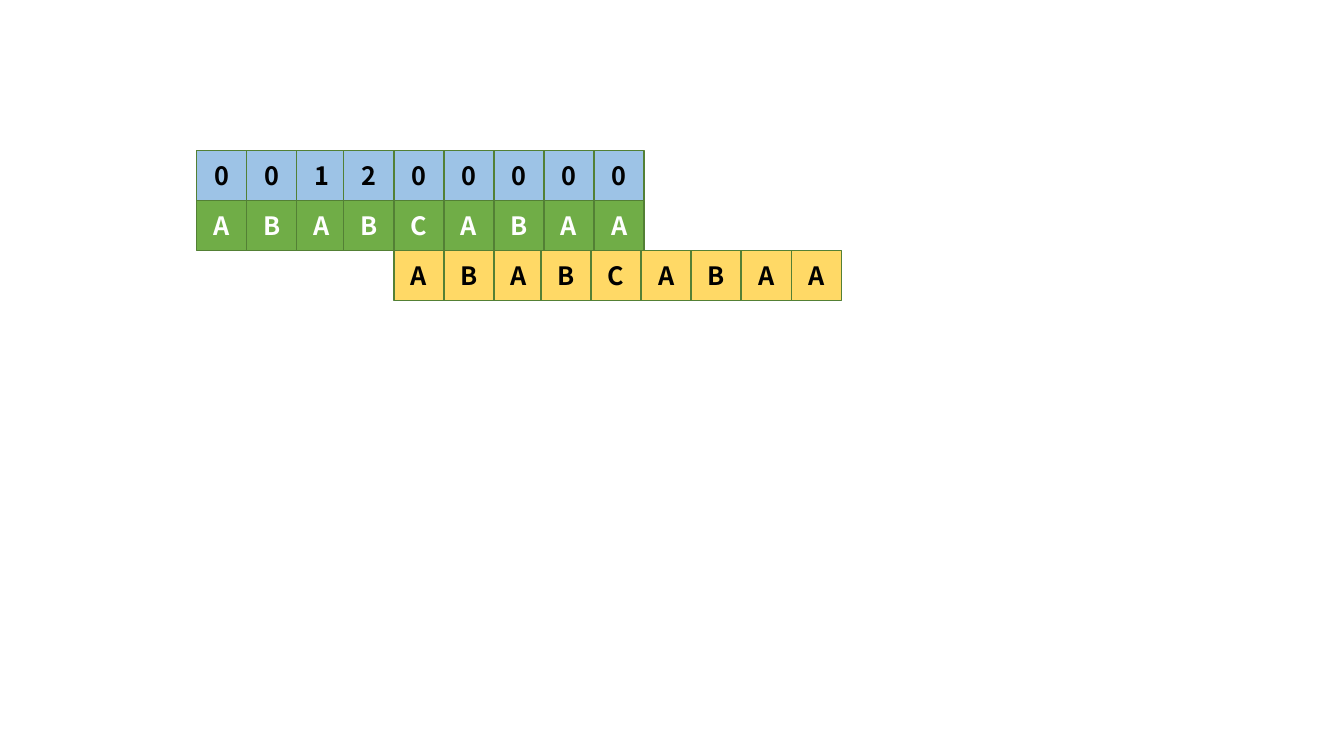
"""Build a slide showing a prefix table above a pattern and its shifted match."""
from pptx import Presentation
from pptx.dml.color import RGBColor
from pptx.enum.shapes import MSO_SHAPE
from pptx.enum.text import MSO_ANCHOR, PP_ALIGN
from pptx.util import Inches, Pt

BLUE = RGBColor(0x9D, 0xC3, 0xE6)
GREEN = RGBColor(0x70, 0xAD, 0x47)
YELLOW = RGBColor(0xFF, 0xD9, 0x66)
DARK_GREEN = RGBColor(0x53, 0x80, 0x35)
BLACK = RGBColor(0, 0, 0)
WHITE = RGBColor(0xFF, 0xFF, 0xFF)
FONT = "Noto Sans CJK SC"

PREFIX_LENGTHS = "001200000"
PATTERN = "ABABCABAA"
SHIFT = 4
ROWS = [
    (1, 0, PATTERN, GREEN, WHITE),
    (2, SHIFT, PATTERN, YELLOW, BLACK),
    (0, 0, PREFIX_LENGTHS, BLUE, BLACK),
]

LEFT, TOP = Inches(1.95), Inches(1.49)
CELL = Pt(35.75)
OVERLAP = Inches(0.03)
OVERLAP_COLUMN = 3


def column_offset(column):
    """Return the distance of a column from the start of its row."""
    return column * CELL - (OVERLAP if column >= OVERLAP_COLUMN else 0)


def add_cell(slide, left, top, symbol, fill, ink):
    """Draw one square holding a symbol."""
    cell = slide.shapes.add_shape(MSO_SHAPE.RECTANGLE, left, top, CELL, CELL)
    cell.shadow.inherit = False
    cell.fill.solid()
    cell.fill.fore_color.rgb = fill
    cell.line.color.rgb = DARK_GREEN
    cell.line.width = Pt(1)
    cell.text_frame.vertical_anchor = MSO_ANCHOR.MIDDLE
    label = cell.text_frame.paragraphs[0]
    label.text = symbol
    label.alignment = PP_ALIGN.CENTER
    label.font.name = FONT
    label.font.size = Pt(18)
    label.font.bold = True
    label.font.color.rgb = ink


def main():
    """Lay out the rows and save the presentation."""
    deck = Presentation()
    deck.slide_width, deck.slide_height = Inches(13.33), Inches(7.5)
    slide = deck.slides.add_slide(deck.slide_layouts[6])
    for row, shift, symbols, fill, ink in ROWS:
        row_left = LEFT + column_offset(shift)
        for column, symbol in enumerate(symbols):
            add_cell(slide, row_left + column_offset(column), TOP + row * CELL, symbol, fill, ink)
    deck.save("out.pptx")


if __name__ == "__main__":
    main()
